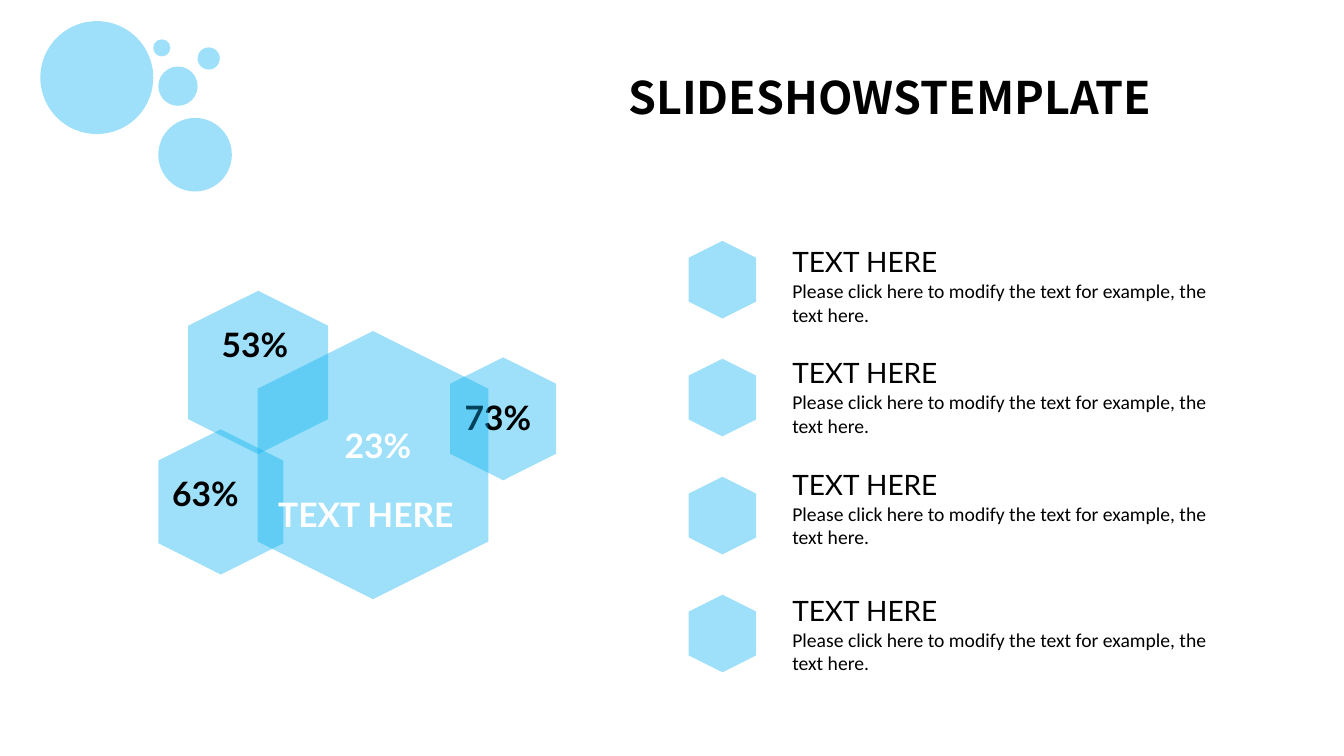
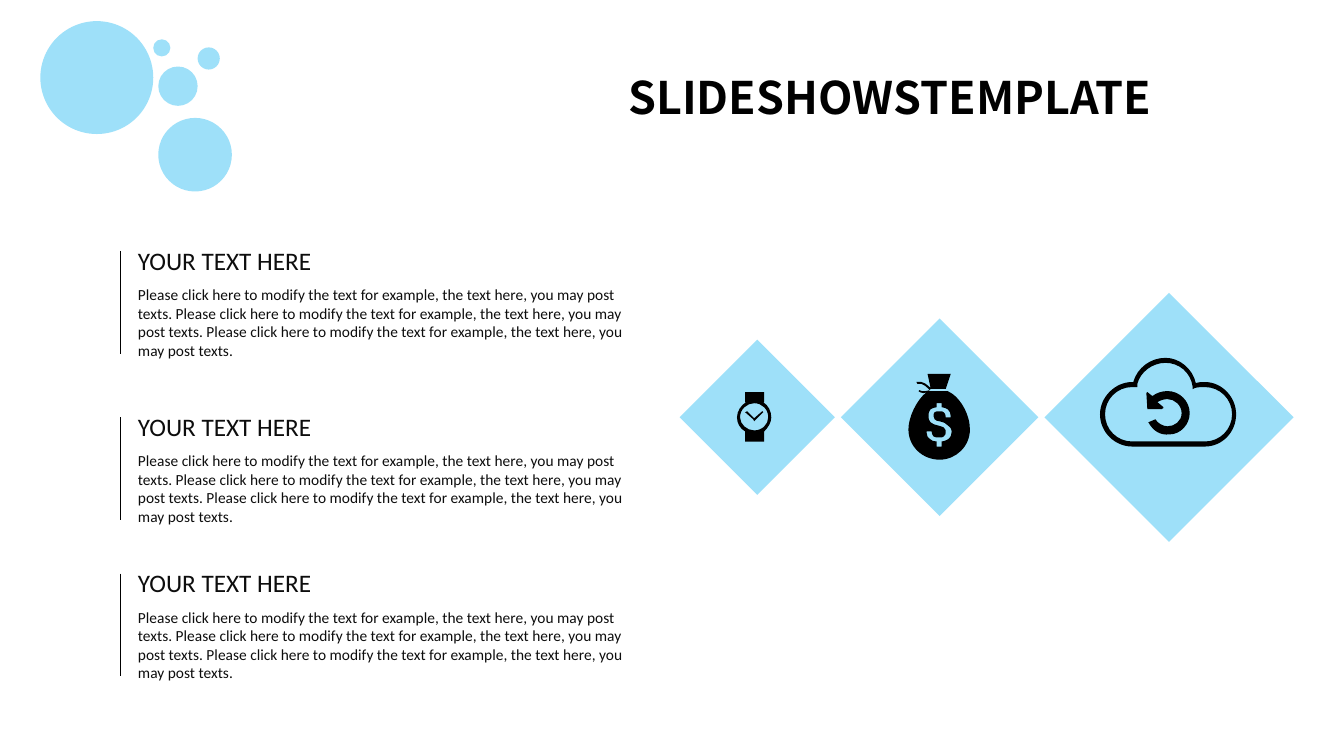
from pptx import Presentation
from pptx import util as u
from pptx.dml.color import RGBColor
from pptx.enum import shapes, text
from pptx.oxml import ns
from lxml import etree

SKY = RGBColor(0x00, 0xB0, 0xF0)
BLACK = RGBColor(0, 0, 0)
INK = RGBColor(0x0D, 0x0D, 0x0D)
WHITE = RGBColor(0xFF, 0xFF, 0xFF)
SLIDE_SIZE = (13.33, 7.5)

# Text formats
TITLE = dict(name="Noto Sans CJK SC", size=u.Pt(32), bold=True)
PERCENT = dict(name="Lato", size=u.Pt(24), bold=True)
ITEM_HEAD = dict(name="Lato", size=u.Pt(20))
ITEM_BODY = dict(name="Calibri", size=u.Pt(14))
BLOCK_HEAD = dict(name="Calibri", size=u.Pt(18))
BLOCK_BODY = dict(name="Calibri", size=u.Pt(11))

# Shared corner bubbles: left, top, diameter
BUBBLES = [(0.4, 0.21, 1.12), (1.52, 0.39, 0.17), (1.96, 0.47, 0.22),
           (1.57, 0.66, 0.39), (1.57, 1.17, 0.73)]

ITEM_TEXT = "Please click here to modify the text for example, the text here."
BLOCK_TEXT = " ".join(["Please click here to modify the text for example, "
                       "the text here, you may post texts."] * 3)

# Icon outlines: each has contours; a pair is a corner, six numbers a curve
WATCH = [
    [(7.65, 4.14), (7.65, 4.08, 7.62, 4.02, 7.57, 3.99), (7.58, 3.99),
     (7.58, 3.89), (7.39, 3.89), (7.39, 3.99), (7.4, 3.99),
     (7.35, 4.02, 7.31, 4.08, 7.31, 4.14),
     (7.31, 4.2, 7.34, 4.25, 7.39, 4.28), (7.39, 4.38), (7.58, 4.38),
     (7.58, 4.28), (7.62, 4.24, 7.65, 4.19, 7.65, 4.14)],
    [(7.48, 4.27), (7.41, 4.27, 7.34, 4.21, 7.34, 4.14),
     (7.34, 4.06, 7.41, 4, 7.48, 4), (7.56, 4, 7.62, 4.06, 7.62, 4.14),
     (7.62, 4.21, 7.56, 4.27, 7.48, 4.27)],
]
WATCH_HANDS = [[(7.48, 4.15), (7.41, 4.08), (7.39, 4.09), (7.47, 4.16),
                (7.48, 4.18), (7.5, 4.16), (7.57, 4.09), (7.56, 4.08)]]
BAG_NECK = [[(9.38, 3.86), (9.43, 3.71), (9.2, 3.71), (9.23, 3.85),
             (9.21, 3.83, 9.15, 3.77, 9.09, 3.79), (9.1, 3.81),
             (9.15, 3.79, 9.2, 3.85, 9.22, 3.87), (9.23, 3.86)]]
BAG = [
    [(9.4, 3.88), (9.21, 3.88), (9.22, 3.87),
     (9.19, 3.88, 9.15, 3.89, 9.12, 3.87), (9.11, 3.88),
     (9.12, 3.89, 9.14, 3.9, 9.16, 3.9), (9.17, 3.9, 9.19, 3.89, 9.19, 3.89),
     (9.09, 3.97, 9.01, 4.14, 9.01, 4.26),
     (9.01, 4.43, 9.15, 4.56, 9.32, 4.56),
     (9.48, 4.56, 9.62, 4.43, 9.62, 4.26),
     (9.62, 4.12, 9.53, 3.94, 9.4, 3.88)],
    [(9.4, 4.36), (9.38, 4.37, 9.36, 4.38, 9.34, 4.38), (9.34, 4.43),
     (9.29, 4.43), (9.29, 4.38), (9.26, 4.38, 9.24, 4.37, 9.23, 4.36),
     (9.2, 4.34, 9.19, 4.32, 9.19, 4.29), (9.19, 4.28), (9.24, 4.28),
     (9.24, 4.3, 9.25, 4.32, 9.26, 4.33), (9.28, 4.34, 9.29, 4.34, 9.32, 4.34),
     (9.34, 4.34, 9.35, 4.34, 9.36, 4.33), (9.38, 4.32, 9.38, 4.3, 9.38, 4.28),
     (9.38, 4.27, 9.38, 4.26, 9.36, 4.24), (9.36, 4.24, 9.34, 4.23, 9.3, 4.22),
     (9.27, 4.22, 9.25, 4.2, 9.23, 4.19), (9.21, 4.17, 9.21, 4.15, 9.21, 4.13),
     (9.21, 4.1, 9.21, 4.08, 9.23, 4.06), (9.25, 4.05, 9.27, 4.04, 9.29, 4.04),
     (9.29, 4), (9.34, 4), (9.34, 4.04),
     (9.36, 4.04, 9.38, 4.05, 9.4, 4.06), (9.42, 4.08, 9.43, 4.1, 9.43, 4.13),
     (9.43, 4.14), (9.38, 4.14), (9.38, 4.13),
     (9.38, 4.11, 9.37, 4.1, 9.36, 4.09), (9.35, 4.08, 9.34, 4.08, 9.32, 4.08),
     (9.3, 4.08, 9.28, 4.08, 9.27, 4.09), (9.26, 4.1, 9.26, 4.11, 9.26, 4.13),
     (9.26, 4.14, 9.26, 4.15, 9.27, 4.16), (9.28, 4.17, 9.3, 4.18, 9.32, 4.18),
     (9.36, 4.19, 9.39, 4.2, 9.4, 4.22), (9.43, 4.24, 9.44, 4.26, 9.44, 4.28),
     (9.44, 4.31, 9.43, 4.34, 9.4, 4.36)],
]
CLOUD = [
    [(11.95, 3.79), (11.92, 3.79, 11.89, 3.79, 11.86, 3.8),
     (11.83, 3.66, 11.7, 3.55, 11.56, 3.55),
     (11.41, 3.55, 11.28, 3.65, 11.24, 3.79), (11.23, 3.79),
     (11.06, 3.79, 10.91, 3.94, 10.91, 4.11),
     (10.91, 4.29, 11.06, 4.43, 11.23, 4.43), (11.95, 4.43),
     (12.12, 4.43, 12.26, 4.29, 12.26, 4.11),
     (12.26, 3.94, 12.12, 3.79, 11.95, 3.79)],
    [(11.95, 4.38), (11.23, 4.38), (11.08, 4.38, 10.96, 4.26, 10.96, 4.11),
     (10.96, 3.96, 11.08, 3.84, 11.23, 3.84), (11.28, 3.84), (11.28, 3.81),
     (11.31, 3.69, 11.43, 3.6, 11.56, 3.6),
     (11.69, 3.6, 11.81, 3.69, 11.83, 3.84), (11.83, 3.86), (11.85, 3.85),
     (11.88, 3.84, 11.92, 3.84, 11.95, 3.84),
     (12.1, 3.84, 12.22, 3.96, 12.22, 4.11),
     (12.22, 4.26, 12.1, 4.38, 11.95, 4.38)],
]
REFRESH = [[(11.58, 3.88), (11.52, 3.88, 11.47, 3.9, 11.43, 3.93),
            (11.38, 3.89), (11.37, 3.9), (11.38, 4.06), (11.52, 4.06),
            (11.54, 4.06, 11.54, 4.04, 11.54, 4.04), (11.48, 3.99),
            (11.51, 3.97, 11.55, 3.96, 11.58, 3.96),
            (11.65, 3.96, 11.72, 4.02, 11.72, 4.1),
            (11.72, 4.18, 11.65, 4.23, 11.58, 4.23),
            (11.54, 4.23, 11.48, 4.2, 11.46, 4.16), (11.39, 4.19),
            (11.44, 4.28, 11.51, 4.32, 11.6, 4.31),
            (11.71, 4.31, 11.8, 4.21, 11.8, 4.1),
            (11.8, 3.98, 11.7, 3.88, 11.58, 3.88)]]


def paint(shape, color):
    shape.shadow.inherit = False
    shape.fill.solid()
    shape.fill.fore_color.rgb = color
    shape.line.fill.background()


def add_tinted(slide, preset, at, color=SKY, opacity=38, rotation=0):
    """Add a translucent preset shape."""
    tinted = slide.shapes.add_shape(preset, *map(u.Inches, at))
    tinted.rotation = rotation
    paint(tinted, color)
    tint = tinted.element.spPr.find(".//" + ns.qn("a:srgbClr"))
    etree.SubElement(tint, ns.qn("a:alpha"), val=str(opacity * 1000))


def add_hexagon(slide, *at):
    add_tinted(slide, shapes.MSO_SHAPE.HEXAGON, at, rotation=90)


def add_label(parent, words, at, font, color=BLACK, wrap=False, align=None):
    label = parent.shapes.add_textbox(*map(u.Inches, at))
    label.text_frame.word_wrap = wrap
    paragraph = label.text_frame.paragraphs[0]
    paragraph.alignment = align
    run = paragraph.add_run()
    run.text = words
    for key, value in font.items():
        setattr(run.font, key, value)
    run.font.color.rgb = color


def add_rule(parent, x, top, bottom):
    rule = parent.shapes.add_connector(
        shapes.MSO_CONNECTOR.STRAIGHT, *map(u.Inches, (x, top, x, bottom)))
    rule.line.color.rgb = BLACK
    rule.line.width = u.Pt(0.5)
    etree.SubElement(rule.element.spPr, ns.qn("a:effectLst"))


def bend(outline, pieces):
    """Turn the straight segments of an outline into its cubic curves."""
    segments = list(outline.element.spPr.iter(ns.qn("a:lnTo")))
    for segment, piece in zip(segments, pieces):
        if len(piece) == 6:
            curve = etree.Element(ns.qn("a:cubicBezTo"))
            for x, y in zip(piece[::2], piece[1::2]):
                etree.SubElement(curve, ns.qn("a:pt"),
                                 x=str(u.Inches(x) - outline.left),
                                 y=str(u.Inches(y) - outline.top))
            segment.getparent().replace(segment, curve)


def add_icon(slide, outlines):
    icon = slide.shapes.add_group_shape()
    for contours in outlines:
        first, *holes = [[tuple(map(u.Inches, piece[-2:])) for piece in contour]
                         for contour in contours]
        builder = icon.shapes.build_freeform(*first[0])
        builder.add_line_segments(first[1:])
        for hole in holes:
            builder.move_to(*hole[0])
            builder.add_line_segments(hole[1:])
        outline = builder.convert_to_shape()
        paint(outline, BLACK)
        bend(outline, [piece for contour in contours for piece in contour[1:]])


def add_base_slide(deck):
    """Start a slide with the shared backdrop, bubbles and title."""
    slide = deck.slides.add_slide(deck.slide_layouts[6])
    add_tinted(slide, shapes.MSO_SHAPE.RECTANGLE, (0, 0, *SLIDE_SIZE), WHITE, 91)
    for left, top, size in BUBBLES:
        add_tinted(slide, shapes.MSO_SHAPE.OVAL, (left, top, size, size))
    add_label(slide, "SLIDESHOWSTEMPLATE", (5.95, 0.64, 5.75, 0.61), TITLE,
              wrap=True, align=text.PP_ALIGN.CENTER)
    return slide


def build_hexagon_slide(deck):
    slide = add_base_slide(deck)
    # Small hexagons with their shares
    for hexagon, share, left, top in [
            ((1.75, 3, 1.62, 1.39), "53%", 2.1, 3.16),
            ((1.47, 4.36, 1.44, 1.24), "63%", 1.61, 4.64),
            ((4.38, 3.63, 1.22, 1.05), "73%", 4.51, 3.89)]:
        add_hexagon(slide, *hexagon)
        add_label(slide, share, (left, top, 0.91, 0.5), PERCENT)
    # List of items
    for row, top in enumerate([2.38, 3.48, 4.59, 5.84]):
        add_hexagon(slide, 6.78, 2.44 + 1.17 * row, 0.77, 0.67)
        add_label(slide, "TEXT HERE", (7.76, top, 1.7, 0.44), ITEM_HEAD)
        add_label(slide, ITEM_TEXT, (7.76, top + 0.34, 4.49, 0.57), ITEM_BODY,
                  wrap=True)
    # Main hexagon, over the others
    add_hexagon(slide, 2.37, 3.47, 2.66, 2.29)
    add_label(slide, "TEXT HERE", (2.66, 4.85, 2.08, 0.5), PERCENT, WHITE)
    add_label(slide, "23%", (3.32, 4.17, 0.91, 0.5), PERCENT, WHITE)


def build_diamond_slide(deck):
    slide = add_base_slide(deck)
    # Text blocks with a rule at the left
    for top in (2.38, 4.03, 5.58):
        block = slide.shapes.add_group_shape()
        add_label(block, BLOCK_TEXT, (1.27, top + 0.4, 5.19, 0.84), BLOCK_BODY,
                  INK, wrap=True)
        add_label(block, "YOUR TEXT HERE", (1.27, top, 1.94, 0.4), BLOCK_HEAD, INK)
        add_rule(block, 1.19, top + 0.11, top + 1.13)
    # Growing diamonds on one centre line
    left, middle, gap = 6.74, 4.14, 0.06
    for size, icon in [(1.54, [WATCH, WATCH_HANDS]), (1.96, [BAG_NECK, BAG]),
                       (2.47, [CLOUD, REFRESH])]:
        add_tinted(slide, shapes.MSO_SHAPE.DIAMOND,
                   (left, middle - size / 2, size, size))
        add_icon(slide, icon)
        left += size + gap


def main():
    deck = Presentation()
    deck.slide_width, deck.slide_height = map(u.Inches, SLIDE_SIZE)
    build_hexagon_slide(deck)
    build_diamond_slide(deck)
    deck.save("out.pptx")


if __name__ == "__main__":
    main()
